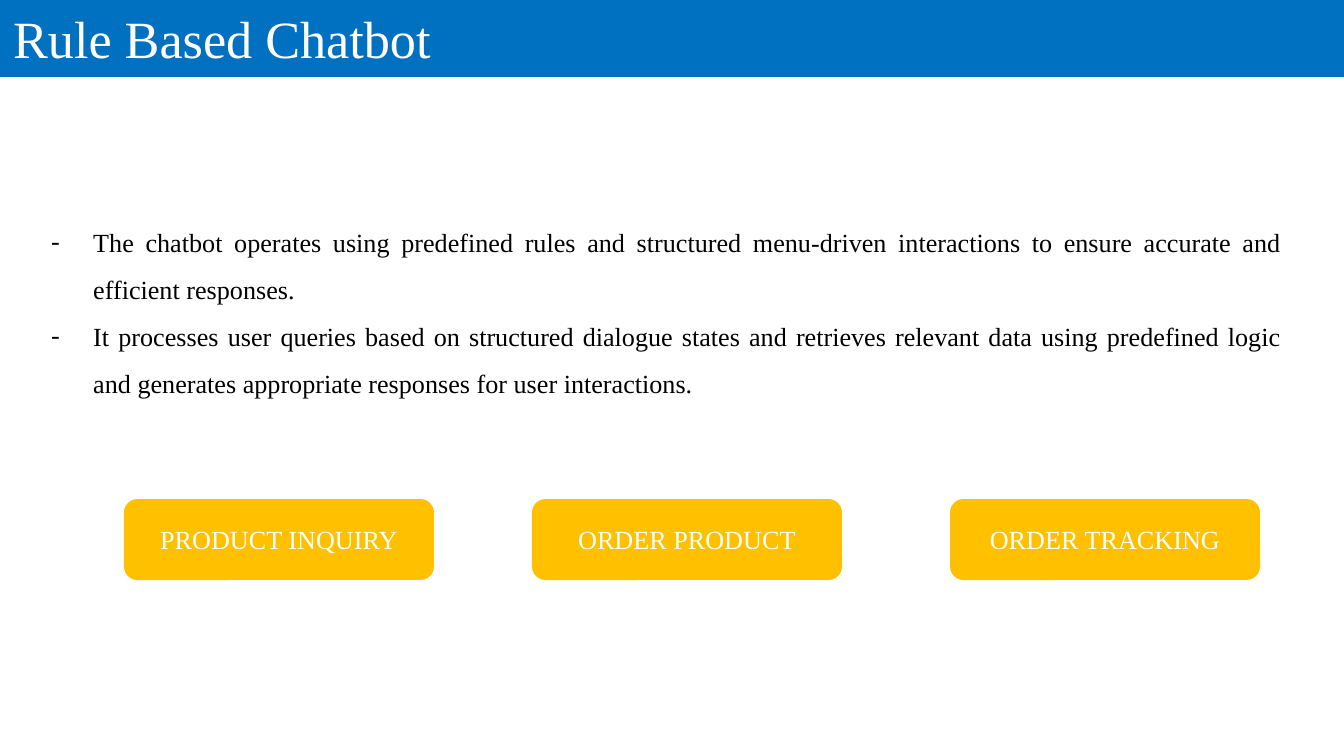
import pptx
import pptx.dml.color
import pptx.enum.shapes
import pptx.enum.text
import pptx.oxml
import pptx.oxml.ns
import pptx.util

# Content
TITLE = "Rule Based Chatbot"
POINTS = [
    "The chatbot operates using predefined rules and structured menu-driven "
    "interactions to ensure accurate and efficient responses.",
    "It processes user queries based on structured dialogue states and retrieves "
    "relevant data using predefined logic and generates appropriate responses "
    "for user interactions.",
]
MENU = [("PRODUCT INQUIRY", 124), ("ORDER PRODUCT", 532), ("ORDER TRACKING", 950)]

# Layout in px
SLIDE_W, SLIDE_H = 1344, 756
TITLE_H = 77
POINTS_BOX = (38, 204, 1258, 198)
BULLET_INDENT = 42
MENU_TOP, MENU_W, MENU_H = 499, 310, 81

COLORS = {"title": "0070C0", "menu": "FFC000", "light": "FFFFFF", "dark": "000000"}
FONT = "Times New Roman"
ALIGN = pptx.enum.text.PP_ALIGN
ANCHOR = pptx.enum.text.MSO_ANCHOR
SHAPE = pptx.enum.shapes.MSO_SHAPE


def px(length):
    return pptx.util.Emu(round(length * 914400 / 134.4))


def rgb(name):
    return pptx.dml.color.RGBColor.from_string(COLORS[name])


def add_bullet(paragraph):
    properties = paragraph._p.get_or_add_pPr()
    properties.set("marL", str(px(BULLET_INDENT)))
    properties.set("indent", str(-px(BULLET_INDENT)))
    namespace = pptx.oxml.ns.nsdecls("a")
    for xml in (
        f'<a:buClr {namespace}><a:srgbClr val="{COLORS["dark"]}"/></a:buClr>',
        f'<a:buFont {namespace} typeface="{FONT}"/>',
        f'<a:buChar {namespace} char="-"/>',
    ):
        properties.append(pptx.oxml.parse_xml(xml))


def write(shape, lines, size=14, color="light", align=ALIGN.LEFT,
          anchor=ANCHOR.TOP, spacing=None, bullets=False):
    frame = shape.text_frame
    frame.word_wrap = True
    frame.vertical_anchor = anchor
    for index, line in enumerate(lines):
        paragraph = frame.add_paragraph() if index else frame.paragraphs[0]
        paragraph.alignment = align
        paragraph.line_spacing = spacing
        if bullets:
            add_bullet(paragraph)
        run = paragraph.add_run()
        run.text = line
        run.font.name = FONT
        run.font.size = pptx.util.Pt(size)
        run.font.color.rgb = rgb(color)


def add_block(slide, kind, box, fill):
    block = slide.shapes.add_shape(kind, *map(px, box))
    block.shadow.inherit = False
    block.fill.solid()
    block.fill.fore_color.rgb = rgb(fill)
    block.line.fill.background()
    return block


def main():
    deck = pptx.Presentation()
    deck.slide_width, deck.slide_height = px(SLIDE_W), px(SLIDE_H)
    slide = deck.slides.add_slide(deck.slide_layouts[6])

    # Title bar
    title = add_block(slide, SHAPE.RECTANGLE, (0, 0, SLIDE_W, TITLE_H), "title")
    write(title, [TITLE], size=28)

    # Description
    points = slide.shapes.add_textbox(*map(px, POINTS_BOX))
    write(points, POINTS, color="dark", align=ALIGN.JUSTIFY, spacing=1.5, bullets=True)

    # Menu buttons
    for label, left in MENU:
        button = add_block(slide, SHAPE.ROUNDED_RECTANGLE,
                           (left, MENU_TOP, MENU_W, MENU_H), "menu")
        write(button, [label], align=ALIGN.CENTER, anchor=ANCHOR.MIDDLE)

    deck.save("out.pptx")


if __name__ == "__main__":
    main()
